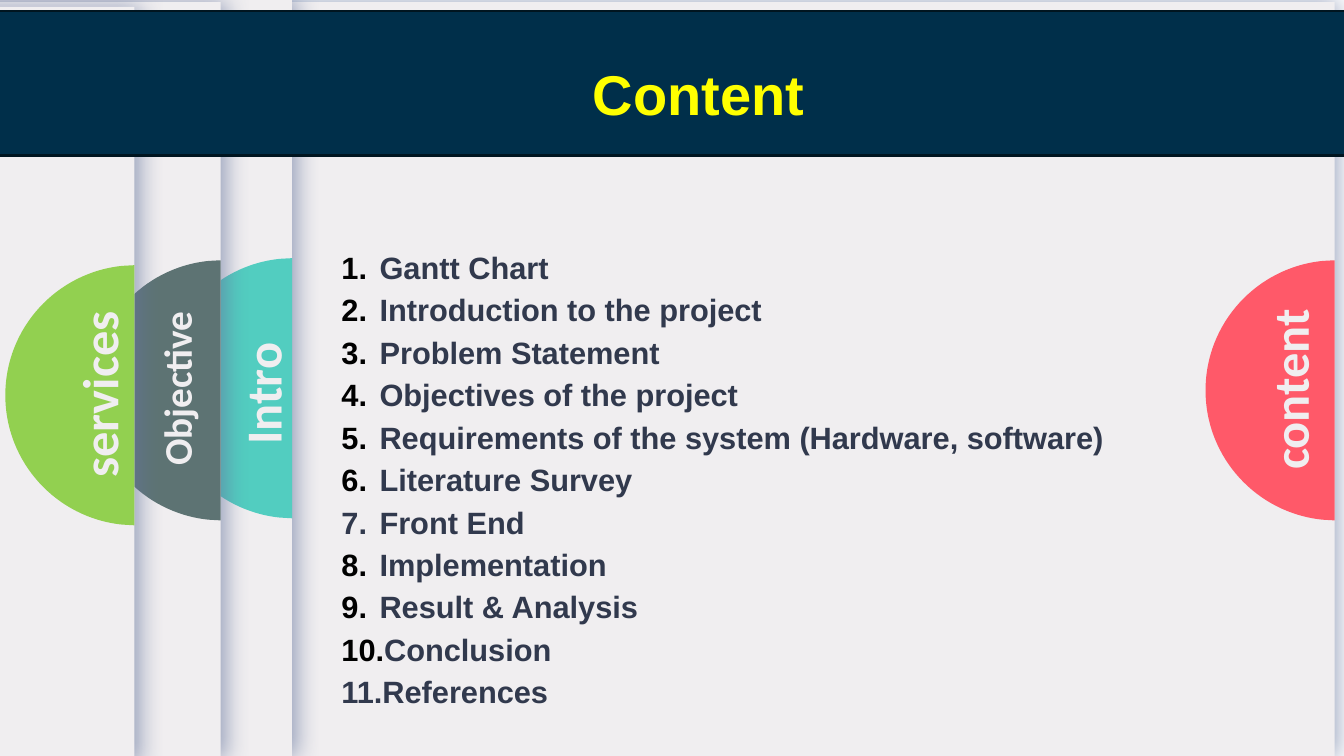
"""Build the contents slide: stacked tabbed panels, a header band and a numbered list."""
import pptx
import pptx.dml.color
import pptx.enum.shapes
import pptx.enum.text
import pptx.oxml
import pptx.oxml.ns
import pptx.util

Pt = pptx.util.Pt

COLORS = {
    "panel": "F0EEF0", "shadow": "66769E", "band": "002F4A", "band_line": "001520",
    "title": "FFFF00", "item": "31394D", "number": "000000",
    "coral": "FF5969", "teal": "52CDC0", "slate": "5D7373", "green": "92D050",
}
TITLE = "Content"
ITEMS = [
    ("Gantt Chart", "number"),
    ("Introduction to the project", "number"),
    ("Problem Statement", "number"),
    ("Objectives of the project", "number"),
    ("Requirements of the system (Hardware, software)", "number"),
    ("Literature Survey", "number"),
    ("Front End", "item"),
    ("Implementation", "number"),
    ("Result & Analysis", "number"),
    ("Conclusion", "number"),
    ("References", "item"),
]
PANELS = [
    {"label": "content", "color": "coral", "size": 36, "panel": (-29.5, 1.5, 982.8),
     "label_box": (864, 231.1, 157, 94.3)},
    {"label": "Intro", "color": "teal", "size": 36, "panel": (-692.6, 0, 901.2),
     "label_box": (108.7, 255.6, 157, 51.1)},
    {"label": "Objective", "color": "slate", "size": 28, "panel": (-596.2, 1.5, 753.8),
     "label_box": (47.5, 257, 157, 41)},
    {"label": "services", "color": "green", "size": 36, "panel": (-588.2, 5, 684.2),
     "label_box": (-7.9, 256.3, 157, 51.1)},
]
SLIDE_WIDTH, SLIDE_HEIGHT = 960, 540
BAND_BOX = (-97.9, 7.9, 1093, 103)
TITLE_BOX = (163.4, 35.3, 671, 49)
LIST_BOX = (225.7, 169.9, 645.8, 342)
TAB_OFFSET, TAB_WIDTH, TAB_HEIGHT = 184.4, 92.2, 185.8
TAB_OUTLINE = [(92.2, 0), (92.2, 185.8), (83.5, 185.3), (0, 92.9), (83.5, 0.5)]
TAB_CONTROLS = [((36.7, 180.5), (0, 141.1)), ((0, 44.7), (36.7, 5.3))]
LIST_INDENT, LIST_HANGING = 38.2, 27.2


def rgb(name):
    return pptx.dml.color.RGBColor.from_string(COLORS[name])


def points(values):
    return [Pt(value) for value in values]


def fill_shape(shape, color):
    shape.shadow.inherit = False
    shape.fill.solid()
    shape.fill.fore_color.rgb = rgb(color)
    shape.line.fill.background()


def add_rectangle(page, box, color):
    shape = page.shapes.add_shape(pptx.enum.shapes.MSO_SHAPE.RECTANGLE, *points(box))
    fill_shape(shape, color)
    return shape


def add_shadow(shape):
    effects = shape.element.spPr.find(pptx.oxml.ns.qn("a:effectLst"))
    effects.append(pptx.oxml.parse_xml(
        f'<a:outerShdw {pptx.oxml.ns.nsdecls("a")} blurRad="{Pt(17)}" dist="{Pt(3)}" dir="0" '
        f'algn="l" rotWithShape="0"><a:srgbClr val="{COLORS["shadow"]}">'
        '<a:alpha val="65000"/></a:srgbClr></a:outerShdw>'))


def add_tab(page, right, top, color):
    left = right - TAB_WIDTH
    corners = [(Pt(left + x), Pt(top + y)) for x, y in TAB_OUTLINE]
    builder = page.shapes.build_freeform(*corners[0])
    builder.add_line_segments(corners[1:], close=True)
    tab = builder.convert_to_shape()
    fill_shape(tab, color)
    segments = list(tab.element.iter(pptx.oxml.ns.qn("a:lnTo")))[2:]
    for segment, controls in zip(segments, TAB_CONTROLS):
        handles = "".join(f'<a:pt x="{Pt(x)}" y="{Pt(y)}"/>' for x, y in controls)
        curve = pptx.oxml.parse_xml(
            f'<a:cubicBezTo {pptx.oxml.ns.nsdecls("a")}>{handles}</a:cubicBezTo>')
        curve.append(segment[0])
        segment.getparent().replace(segment, curve)


def format_runs(para, font, size, color):
    for span in para.runs:
        span.font.name = font
        span.font.size = Pt(size)
        span.font.bold = True
        span.font.color.rgb = rgb(color)


def add_label(page, text, size, box):
    label = page.shapes.add_textbox(*points(box))
    label.rotation = 270
    label.text_frame.word_wrap = True
    para = label.text_frame.paragraphs[0]
    para.text = text
    para.alignment = pptx.enum.text.PP_ALIGN.CENTER
    format_runs(para, "Calibri", size, "panel")


def add_panel(page, entry):
    left, top, width = entry["panel"]
    add_shadow(add_rectangle(page, (left, top, width, SLIDE_HEIGHT), "panel"))
    add_tab(page, left + width, top + TAB_OFFSET, entry["color"])
    add_label(page, entry["label"], entry["size"], entry["label_box"])


def place_placeholder(placeholder, box):
    placeholder.left, placeholder.top, placeholder.width, placeholder.height = points(box)
    placeholder.element.getparent().append(placeholder.element)
    frame = placeholder.text_frame
    frame.word_wrap = True
    frame.auto_size = pptx.enum.text.MSO_AUTO_SIZE.NONE
    frame.vertical_anchor = pptx.enum.text.MSO_ANCHOR.TOP
    return frame


def fill_title(title):
    frame = place_placeholder(title, TITLE_BOX)
    frame.margin_left = frame.margin_right = frame.margin_top = frame.margin_bottom = Pt(7.2)
    frame.text = TITLE
    frame.paragraphs[0].alignment = pptx.enum.text.PP_ALIGN.CENTER
    format_runs(frame.paragraphs[0], "Arial", 40, "title")


def number_paragraph(para, color):
    properties = para._p.get_or_add_pPr()
    properties.set("marL", str(Pt(LIST_INDENT)))
    properties.set("indent", str(-Pt(LIST_HANGING)))
    namespace = pptx.oxml.ns.nsdecls("a")
    for markup in (
        f'<a:buClr {namespace}><a:srgbClr val="{COLORS[color]}"/></a:buClr>',
        f'<a:buFont {namespace} typeface="+mj-lt"/>',
        f'<a:buAutoNum {namespace} type="arabicPeriod"/>',
    ):
        properties.append(pptx.oxml.parse_xml(markup))


def fill_list(body):
    frame = place_placeholder(body, LIST_BOX)
    frame.text = "\n".join(text for text, color in ITEMS)
    for para, (text, color) in zip(frame.paragraphs, ITEMS):
        number_paragraph(para, color)
        para.line_spacing = 1.15
        para.space_before = Pt(0)
        format_runs(para, "Arial", 22, "item")


def main():
    deck = pptx.Presentation()
    deck.slide_width, deck.slide_height = Pt(SLIDE_WIDTH), Pt(SLIDE_HEIGHT)
    page = deck.slides.add_slide(deck.slide_layouts[1])
    for entry in PANELS:
        add_panel(page, entry)
    band = add_rectangle(page, BAND_BOX, "band")
    band.line.color.rgb = rgb("band_line")
    band.line.width = Pt(2)
    fill_list(page.placeholders[1])
    fill_title(page.shapes.title)
    deck.save("out.pptx")


if __name__ == "__main__":
    main()
